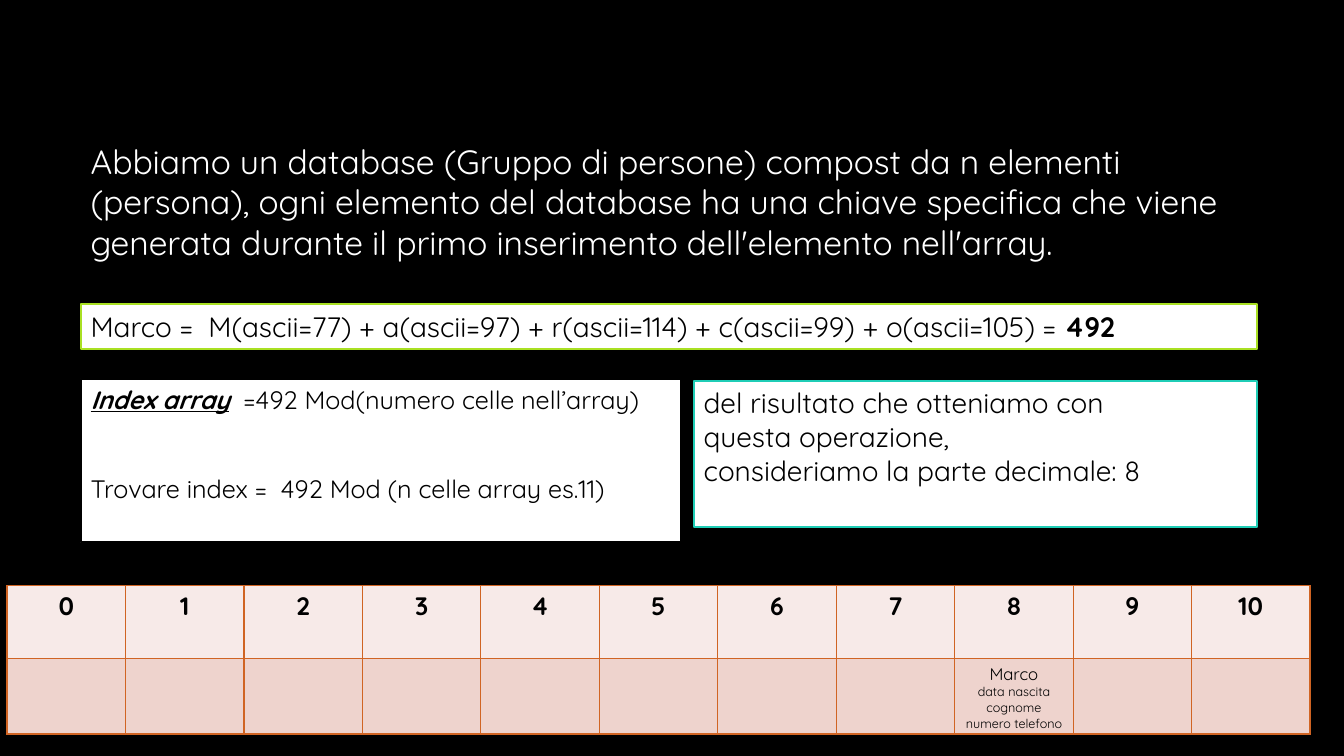
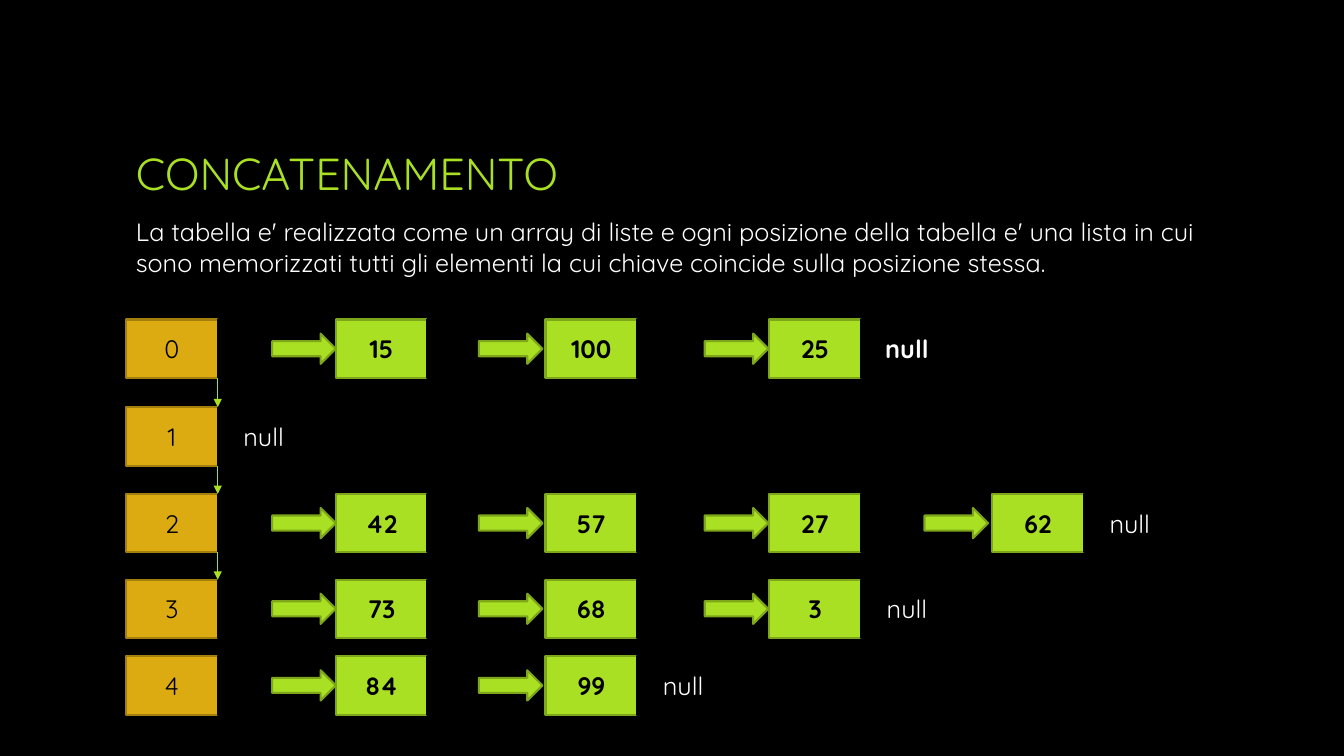
"""Build two slides on hash tables: index computation and chaining."""
import dataclasses

import lxml.etree
import pptx
import pptx.dml.color
import pptx.enum.shapes
import pptx.enum.text
import pptx.oxml.ns
import pptx.util

Inches = pptx.util.Inches
Pt = pptx.util.Pt
ALIGN = pptx.enum.text.PP_ALIGN
ANCHOR = pptx.enum.text.MSO_ANCHOR
SHAPE = pptx.enum.shapes.MSO_SHAPE
qn = pptx.oxml.ns.qn


@dataclasses.dataclass(frozen=True)
class Theme:
    """Colours, type sizes and line widths shared by the slides."""
    font: str = "Quicksand"
    black: str = "000000"
    white: str = "FFFFFF"
    green: str = "A9E023"
    green_edge: str = "7DA61A"
    amber: str = "DCAB11"
    amber_edge: str = "A37F0D"
    teal: str = "1FCDB6"
    grid: str = "D06423"
    index_row: str = "F7EAE8"
    value_row: str = "EED3CD"
    title: float = 32
    lead: float = 24
    formula: float = 20
    body: float = 18
    record: float = 12
    detail: float = 9
    outline: float = 1.5
    hairline: float = 0.75


THEME = Theme()
CELL_WIDTH, CELL_HEIGHT = 0.91, 0.58
ARROW_WIDTH, ARROW_HEIGHT = 0.63, 0.3
BUCKET_LEFT = 1.25
ROW_TOPS = (3.17, 4.04, 4.9, 5.75, 6.51)
NODE_LEFTS = (3.33, 5.41, 7.63, 9.84)
ARROW_LEFTS = (2.7, 4.75, 6.99, 9.17)
CHAINS = (
    ("15", "100", "25"),
    (),
    ("42", "57", "27", "62"),
    ("73", "68", "3"),
    ("84", "99"),
)


def rgb(code):
    """Return a colour from its hexadecimal code."""
    return pptx.dml.color.RGBColor.from_string(code)


def style_paragraph(paragraph, size, color, bold=False, align=ALIGN.LEFT):
    """Set the alignment and font of a whole paragraph."""
    paragraph.alignment = align
    font = paragraph.font
    font.name = THEME.font
    font.size = Pt(size)
    font.bold = bold
    font.color.rgb = rgb(color)


def write_lines(frame, lines, size, color, bold=False, align=ALIGN.LEFT):
    """Write one paragraph per line; a line is a text or a list of runs."""
    frame.word_wrap = True
    for number, line in enumerate(lines):
        paragraph = frame.add_paragraph() if number else frame.paragraphs[0]
        style_paragraph(paragraph, size, color, bold, align)
        runs = [(line, "")] if isinstance(line, str) else line
        for text, emphasis in runs:
            run = paragraph.add_run()
            run.text = text
            for attribute in emphasis.split():
                setattr(run.font, attribute, True)


def add_slide(presentation):
    """Add a blank slide with the shared black background."""
    slide = presentation.slides.add_slide(presentation.slide_layouts[6])
    slide.background.fill.solid()
    slide.background.fill.fore_color.rgb = rgb(THEME.black)
    return slide


def add_text(slide, box, text, size, color, anchor=ANCHOR.TOP):
    """Add a plain text box."""
    frame = slide.shapes.add_textbox(*map(Inches, box)).text_frame
    frame.vertical_anchor = anchor
    write_lines(frame, [text], size, color)


def add_block(slide, kind, box, fill, edge):
    """Add a filled and outlined preset shape."""
    shape = slide.shapes.add_shape(kind, *map(Inches, box))
    shape.shadow.inherit = False
    shape.fill.solid()
    shape.fill.fore_color.rgb = rgb(fill)
    shape.line.color.rgb = rgb(edge)
    shape.line.width = Pt(THEME.outline)
    return shape


def add_panel(slide, box, edge, lines, size):
    """Add a white panel with left-aligned text and return its frame."""
    frame = add_block(slide, SHAPE.RECTANGLE, box, THEME.white, edge).text_frame
    frame.vertical_anchor = ANCHOR.TOP
    write_lines(frame, lines, size, THEME.black)
    return frame


def add_cell(slide, left, top, text, fill, edge, color, bold=False):
    """Add one rectangular cell of a chain."""
    box = (left, top, CELL_WIDTH, CELL_HEIGHT)
    shape = add_block(slide, SHAPE.RECTANGLE, box, fill, edge)
    if text:
        write_lines(shape.text_frame, [text], THEME.body, color, bold, ALIGN.CENTER)


def add_pointer(slide, left, top, text, bold=False):
    """Add the black pointer cell, holding null at the end of a chain."""
    add_cell(slide, left, top, text, THEME.black, THEME.black, THEME.white, bold)


def add_chain(slide, index, top, values):
    """Add a bucket, its linked nodes and the closing null."""
    null_bold = index == 0
    add_cell(slide, BUCKET_LEFT, top, str(index), THEME.amber, THEME.amber_edge, THEME.black)
    add_pointer(slide, BUCKET_LEFT + CELL_WIDTH, top, "" if values else "null", null_bold)
    for number, (value, left, arrow_left) in enumerate(
        zip(values, NODE_LEFTS, ARROW_LEFTS), start=1
    ):
        add_cell(slide, left, top, value, THEME.green, THEME.green_edge, THEME.black, True)
        ending = "null" if number == len(values) else ""
        add_pointer(slide, left + CELL_WIDTH, top, ending, null_bold)
        arrow_top = top + (CELL_HEIGHT - ARROW_HEIGHT) / 2
        arrow_box = (arrow_left, arrow_top, ARROW_WIDTH, ARROW_HEIGHT)
        add_block(slide, SHAPE.RIGHT_ARROW, arrow_box, THEME.green, THEME.green_edge)


def add_down_arrow(slide, left, top, bottom):
    """Add a thin vertical connector with an arrowhead at its end."""
    connector = slide.shapes.add_connector(
        pptx.enum.shapes.MSO_CONNECTOR.STRAIGHT,
        *map(Inches, (left, top, left, bottom)),
    )
    connector.line.color.rgb = rgb(THEME.green)
    connector.line.width = Pt(THEME.hairline)
    line = connector.line._get_or_add_ln()
    lxml.etree.SubElement(line, qn("a:tailEnd"), type="triangle")
    lxml.etree.SubElement(connector._element.spPr, qn("a:effectLst"))


def style_table_cell(cell, fill):
    """Give a table cell its borders and fill."""
    properties = cell._tc.get_or_add_tcPr()
    for side in ("a:lnL", "a:lnR", "a:lnT", "a:lnB"):
        border = lxml.etree.SubElement(properties, qn(side), w=str(Pt(1)))
        solid = lxml.etree.SubElement(border, qn("a:solidFill"))
        lxml.etree.SubElement(solid, qn("a:srgbClr"), val=THEME.grid)
    cell.fill.solid()
    cell.fill.fore_color.rgb = rgb(fill)


def add_array_table(slide, columns, used_index, record):
    """Add the array as a row of indexes above a row of stored records."""
    column_width, row_height = 1.175, 0.72
    box = (0.07, 5.81, columns * column_width, 2 * row_height)
    table = slide.shapes.add_table(2, columns, *map(Inches, box)).table
    table.first_row = False
    table.horz_banding = False
    for index in range(columns):
        header, value = table.cell(0, index), table.cell(1, index)
        style_table_cell(header, THEME.index_row)
        style_table_cell(value, THEME.value_row)
        write_lines(
            header.text_frame, [str(index)], THEME.body, THEME.black, True, ALIGN.CENTER
        )
    frame = table.cell(1, used_index).text_frame
    write_lines(frame, record, THEME.detail, THEME.black, align=ALIGN.CENTER)
    frame.paragraphs[0].font.size = Pt(THEME.record)


def build_index_slide(presentation):
    """Show how a name becomes an index of the array."""
    slide = add_slide(presentation)
    add_text(
        slide,
        (0.8, 1.35, 11.67, 1.31),
        "Abbiamo un database (Gruppo di persone) compost da n elementi (persona), "
        "ogni elemento del database ha una chiave specifica che viene generata "
        "durante il primo inserimento dell'elemento nell'array.",
        THEME.lead,
        THEME.white,
    )
    key_sum = [
        ("Marco =  M(ascii=77) + a(ascii=97) + r(ascii=114) + c(ascii=99) + o(ascii=105) = ", ""),
        ("492", "bold"),
    ]
    add_panel(slide, (0.8, 3.02, 11.67, 0.44), THEME.green, [key_sum], THEME.formula)
    index_rule = [
        ("Index array", "bold italic underline"),
        ("  =492 Mod(numero celle nell’array)", ""),
    ]
    index_lines = [index_rule, "Trovare index =  492 Mod (n celle array es.11)"]
    frame = add_panel(slide, (0.8, 3.76, 5.96, 1.62), THEME.black, index_lines, THEME.body)
    frame.paragraphs[1].space_before = Pt(42.5)
    result = [
        "del risultato che otteniamo con",
        "questa operazione,",
        "consideriamo la parte decimale: 8",
    ]
    add_panel(slide, (6.88, 3.78, 5.59, 1.45), THEME.teal, result, THEME.formula)
    add_array_table(slide, 11, 8, ["Marco", "data nascita", "cognome", "numero telefono"])


def build_chaining_slide(presentation):
    """Show the array of linked lists."""
    slide = add_slide(presentation)
    add_text(
        slide, (1.25, 0.67, 10.83, 2.08), "CONCATENAMENTO",
        THEME.title, THEME.green, ANCHOR.MIDDLE,
    )
    add_text(
        slide,
        (1.25, 2.1, 10.83, 0.71),
        "La tabella e' realizzata come un array di liste e ogni posizione della "
        "tabella e' una lista in cui sono memorizzati tutti gli elementi la cui "
        "chiave coincide sulla posizione stessa.",
        THEME.body,
        THEME.white,
    )
    for index, (top, values) in enumerate(zip(ROW_TOPS, CHAINS)):
        add_chain(slide, index, top, values)
    for top, next_top in zip(ROW_TOPS[:3], ROW_TOPS[1:]):
        add_down_arrow(slide, BUCKET_LEFT + CELL_WIDTH, top + CELL_HEIGHT, next_top)


def main():
    """Build and save the presentation."""
    presentation = pptx.Presentation()
    presentation.slide_width = Inches(13.33)
    presentation.slide_height = Inches(7.5)
    build_index_slide(presentation)
    build_chaining_slide(presentation)
    presentation.save("out.pptx")


if __name__ == "__main__":
    main()
